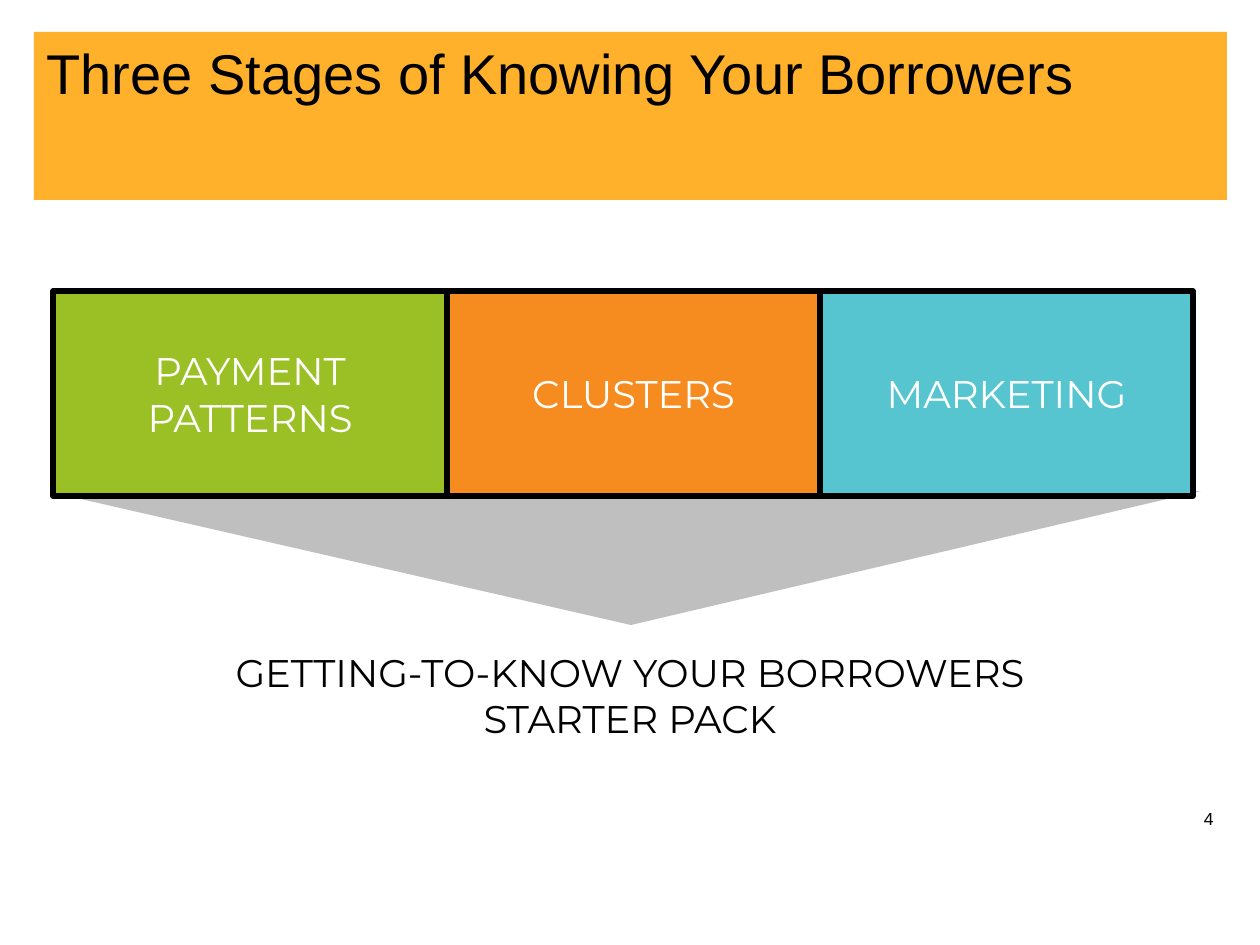
from typing import NamedTuple

from pptx import Presentation
from pptx.dml.color import RGBColor
from pptx.enum.shapes import MSO_SHAPE as Preset
from pptx.enum.text import MSO_ANCHOR as Anchor, PP_ALIGN as Align
from pptx.util import Emu, Pt

SCALE = 914400 / 126
BLACK = RGBColor(0x00, 0x00, 0x00)
WHITE = RGBColor(0xFF, 0xFF, 0xFF)
GREY = RGBColor(0xBF, 0xBF, 0xBF)
AMBER = RGBColor(0xFF, 0xB1, 0x2B)
GREEN = RGBColor(0x9A, 0xC0, 0x26)
ORANGE = RGBColor(0xF6, 0x8B, 0x1F)
TEAL = RGBColor(0x56, 0xC5, 0xD0)
HEADING_FONT = "Arial"
BODY_FONT = "Montserrat"
STAGE_LEFT, STAGE_TOP, STAGE_HEIGHT = 53, 291, 205


class Stage(NamedTuple):
    label: str
    width: int
    color: RGBColor


STAGES = [
    Stage("PAYMENT PATTERNS", 394, GREEN),
    Stage("CLUSTERS", 373, ORANGE),
    Stage("MARKETING", 373, TEAL),
]


def px(length: int) -> Emu:
    return Emu(round(length * SCALE))


def area(left: int, top: int, width: int, height: int) -> tuple[Emu, ...]:
    return px(left), px(top), px(width), px(height)


def write(shape, text: str, font: str, size: int, color: RGBColor,
          align: Align, anchor: Anchor, wrap: bool = True) -> None:
    frame = shape.text_frame
    frame.text = text
    frame.word_wrap = wrap
    frame.vertical_anchor = anchor
    for para in frame.paragraphs:
        para.alignment = align
        for span in para.runs:
            span.font.name = font
            span.font.size = Pt(size)
            span.font.color.rgb = color


def paint(shape, color: RGBColor) -> None:
    shape.shadow.inherit = False
    shape.fill.solid()
    shape.fill.fore_color.rgb = color
    shape.line.fill.background()


def add_stage(page, stage: Stage, left: int) -> None:
    box = page.shapes.add_shape(
        Preset.RECTANGLE, *area(left, STAGE_TOP, stage.width, STAGE_HEIGHT))
    paint(box, stage.color)
    box.line.color.rgb = BLACK
    box.line.width = Pt(3)
    write(box, stage.label, BODY_FONT, 22, WHITE, Align.CENTER, Anchor.MIDDLE)


deck = Presentation()
deck.slide_width, deck.slide_height = px(1260), px(945)
page = deck.slides.add_slide(deck.slide_layouts[5])

number = page.shapes.add_textbox(*area(1176, 801, 50, 35))
write(number, "4", HEADING_FONT, 10, BLACK, Align.RIGHT, Anchor.MIDDLE)

builder = page.shapes.build_freeform(59, 494, scale=SCALE)
builder.add_line_segments([(631, 625), (1201, 491)], close=True)
paint(builder.convert_to_shape(), GREY)

banner = page.shapes.add_shape(Preset.RECTANGLE, *area(34, 32, 1193, 168))
paint(banner, AMBER)

title = page.shapes.title
title.left, title.top, title.width, title.height = area(34, 32, 1134, 158)
write(title, "Three Stages of Knowing Your Borrowers", HEADING_FONT, 32, BLACK,
      Align.LEFT, Anchor.TOP)
banner.element.addnext(title.element)

left = STAGE_LEFT
for stage in STAGES:
    add_stage(page, stage, left)
    left += stage.width

caption = page.shapes.add_textbox(*area(194, 643, 872, 106))
write(caption, "GETTING-TO-KNOW YOUR BORROWERS\nSTARTER PACK", BODY_FONT, 22,
      BLACK, Align.CENTER, Anchor.TOP, wrap=False)

deck.save("out.pptx")
